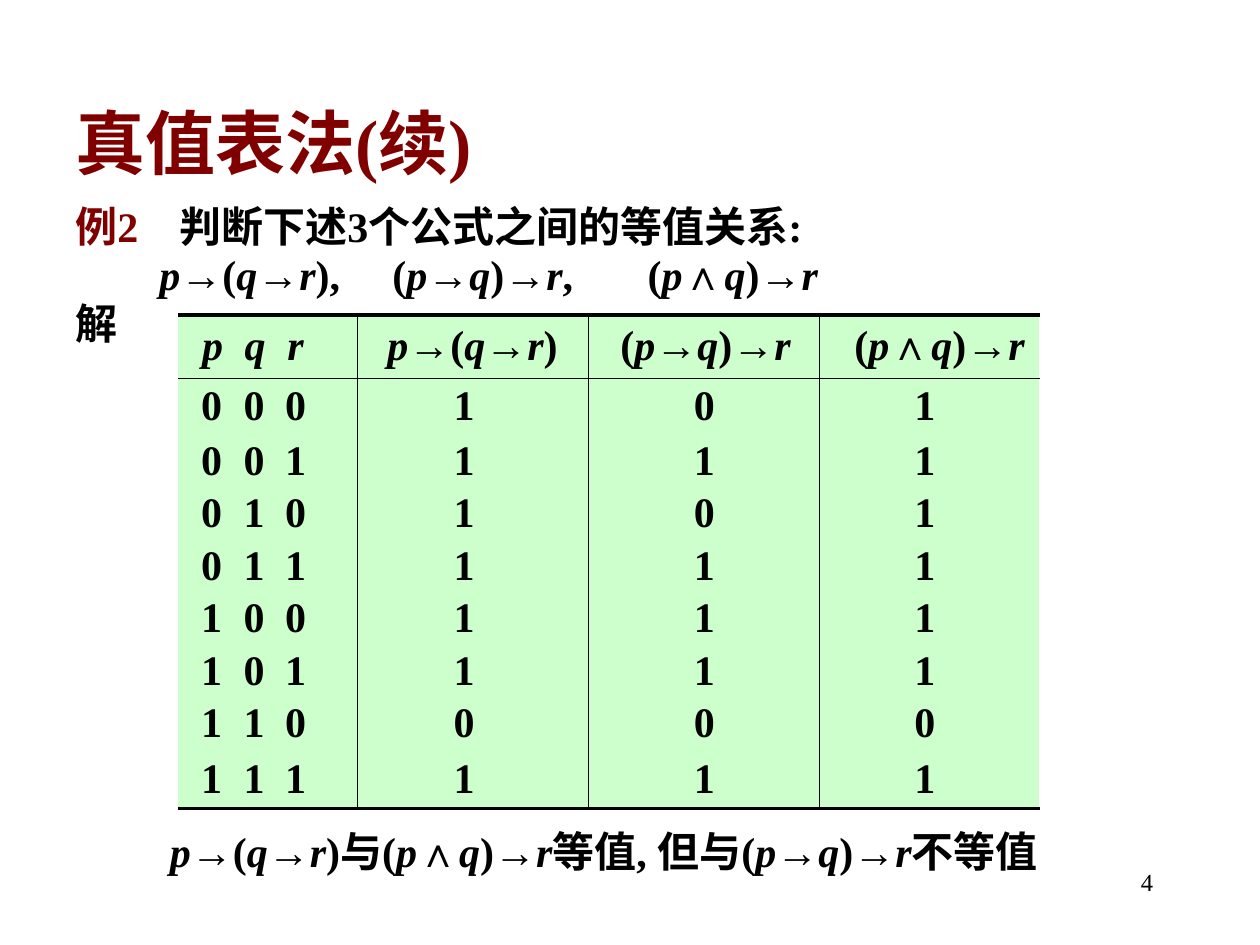
import itertools

import lxml.etree
import pptx
import pptx.dml.color
import pptx.enum.shapes
import pptx.enum.text
import pptx.oxml.ns
import pptx.util

PX = 7620
ALIGN = pptx.enum.text.PP_ALIGN
MAROON, BLACK, GREEN = "800000", "000000", "CCFFCC"
SERIF, SYMBOL = "Times New Roman", "Arial"
NESTED, LEFT_NESTED, CONJUNCTION = "p→(q→r)", "(p→q)→r", "(p∧q)→r"
HEADINGS = ["p", "q", "r", NESTED, LEFT_NESTED, CONJUNCTION]
COLUMN_WIDTHS = [51, 40, 79, 220, 220, 210]
ROW_HEIGHTS = [60, 54] + [50] * 6 + [56]
HEADING_SHIFTS = [7, 2, -19, 0, 2, 10]
VALUE_SHIFTS = [6, 1, -19, -8, 1, -4]


def px(length):
    """Turn px into EMU."""
    return pptx.util.Emu(length * PX)


def color(hex_code):
    """Turn a hex string into a colour."""
    return pptx.dml.color.RGBColor.from_string(hex_code)


def add_child(parent, tag, **attributes):
    """Append a DrawingML element to a parent."""
    return lxml.etree.SubElement(parent, pptx.oxml.ns.qn(tag), attributes)


def add_run(paragraph, text, size, ink=BLACK, font=SERIF, bold=True, italic=False):
    """Append one formatted run."""
    run = paragraph.add_run()
    run.text = text
    run.font.size = pptx.util.Pt(size)
    run.font.name = font
    run.font.bold = bold
    run.font.italic = italic
    run.font.color.rgb = color(ink)


def add_formula(paragraph, text, size=24):
    """Write text with italic variables and connectives in the symbol font."""
    def kind(letter):
        return "variable" if letter in "pqr" else "connective" if letter in "→∧" else "plain"

    for part, letters in itertools.groupby(text, kind):
        add_run(paragraph, "".join(letters), size, italic=part == "variable",
                font=SYMBOL if part == "connective" else SERIF)


def add_tabs(paragraph, stops):
    """Set left tab stops in px."""
    tab_list = add_child(paragraph._p.get_or_add_pPr(), "a:tabLst")
    for stop in stops:
        add_child(tab_list, "a:tab", pos=str(px(stop)), algn="l")


def add_frame(slide, box):
    """Add a wrapping text box and return its text frame."""
    frame = slide.shapes.add_textbox(*map(px, box)).text_frame
    frame.word_wrap = True
    return frame


def add_title(slide, box):
    """Place the slide title."""
    frame = add_frame(slide, box)
    frame.vertical_anchor = pptx.enum.text.MSO_ANCHOR.MIDDLE
    add_run(frame.paragraphs[0], "真值表法(续)", 40, MAROON)


def add_problem(slide, box):
    """Place the example, its three formulas and the solution label."""
    frame = add_frame(slide, box)
    question, formulas, solution = frame.paragraphs[0], frame.add_paragraph(), frame.add_paragraph()
    for paragraph in frame.paragraphs:
        paragraph.line_spacing = 0.9
    for paragraph in (formulas, solution):
        paragraph.space_before = pptx.util.Pt(2)
    add_tabs(question, [99])
    add_tabs(formulas, [80, 302, 545])
    add_run(question, "例2", 24, MAROON)
    add_run(question, "\t判断下述3个公式之间的等值关系:", 24)
    add_formula(formulas, f"\t{NESTED},\t{LEFT_NESTED},\t{CONJUNCTION}")
    add_run(solution, "解", 24)


def fill_cell(cell, text, shift):
    """Write a centred formula in a borderless cell, moved sideways by shift px."""
    for side in "LRTB":
        add_child(add_child(cell._tc.get_or_add_tcPr(), f"a:ln{side}", w="0"), "a:noFill")
    cell.margin_top = cell.margin_bottom = 0
    cell.margin_left, cell.margin_right = px(max(2 * shift, 0)), px(max(-2 * shift, 0))
    cell.vertical_anchor = pptx.enum.text.MSO_ANCHOR.MIDDLE
    paragraph = cell.text_frame.paragraphs[0]
    paragraph.alignment = ALIGN.CENTER
    add_formula(paragraph, text)
    cell.fill.solid()
    cell.fill.fore_color.rgb = color(GREEN)


def add_rule(slide, start, end, points):
    """Draw one straight black rule."""
    rule = slide.shapes.add_connector(pptx.enum.shapes.MSO_CONNECTOR.STRAIGHT,
                                      *map(px, start + end))
    rule.line.color.rgb = color(BLACK)
    rule.line.width = pptx.util.Pt(points)
    add_child(rule._element.spPr, "a:effectLst")


def truth_rows():
    """Compute the truth values of the three formulas."""
    for p, q, r in itertools.product((0, 1), repeat=3):
        nested = p <= (q <= r)
        left_nested = (p <= q) <= r
        conjunction = (p and q) <= r
        yield [str(int(value)) for value in (p, q, r, nested, left_nested, conjunction)]


def add_truth_table(slide, left, top):
    """Place the truth table and the rules between its groups."""
    rows = [HEADINGS, *truth_rows()]
    width, height = sum(COLUMN_WIDTHS), sum(ROW_HEIGHTS)
    table = slide.shapes.add_table(len(rows), len(HEADINGS), *map(px, (left, top, width, height))).table
    table.first_row = table.horz_banding = False
    for column, column_width in zip(table.columns, COLUMN_WIDTHS):
        column.width = px(column_width)
    for row, row_height in zip(table.rows, ROW_HEIGHTS):
        row.height = px(row_height)
    for y, values in enumerate(rows):
        shifts = VALUE_SHIFTS if y else HEADING_SHIFTS
        for x, (value, shift) in enumerate(zip(values, shifts)):
            fill_cell(table.cell(y, x), value, shift)
    for offset, points in ((ROW_HEIGHTS[0], 0.5), (0, 2.25), (height, 2.25)):
        add_rule(slide, (left, top + offset), (left + width, top + offset), points)
    for count in (3, 4, 5):
        x = left + sum(COLUMN_WIDTHS[:count])
        add_rule(slide, (x, top), (x, top + height), 0.5)


def add_conclusion(slide, box):
    """Place the conclusion below the table."""
    add_formula(add_frame(slide, box).paragraphs[0],
                f"{NESTED}与{CONJUNCTION}等值, 但与{LEFT_NESTED}不等值")


def add_page_number(slide, box):
    """Place the page number."""
    paragraph = add_frame(slide, box).paragraphs[0]
    paragraph.alignment = ALIGN.RIGHT
    add_run(paragraph, "4", 14, bold=False)


def main():
    """Build and save the slide."""
    deck = pptx.Presentation()
    deck.slide_width, deck.slide_height = px(1200), px(900)
    slide = deck.slides.add_slide(deck.slide_layouts[6])
    add_page_number(slide, (860, 820, 250, 60))
    add_title(slide, (60, 80, 1020, 110))
    add_problem(slide, (60, 190, 1020, 160))
    add_truth_table(slide, 170, 300)
    add_conclusion(slide, (150, 780, 910, 60))
    deck.save("out.pptx")


if __name__ == "__main__":
    main()
